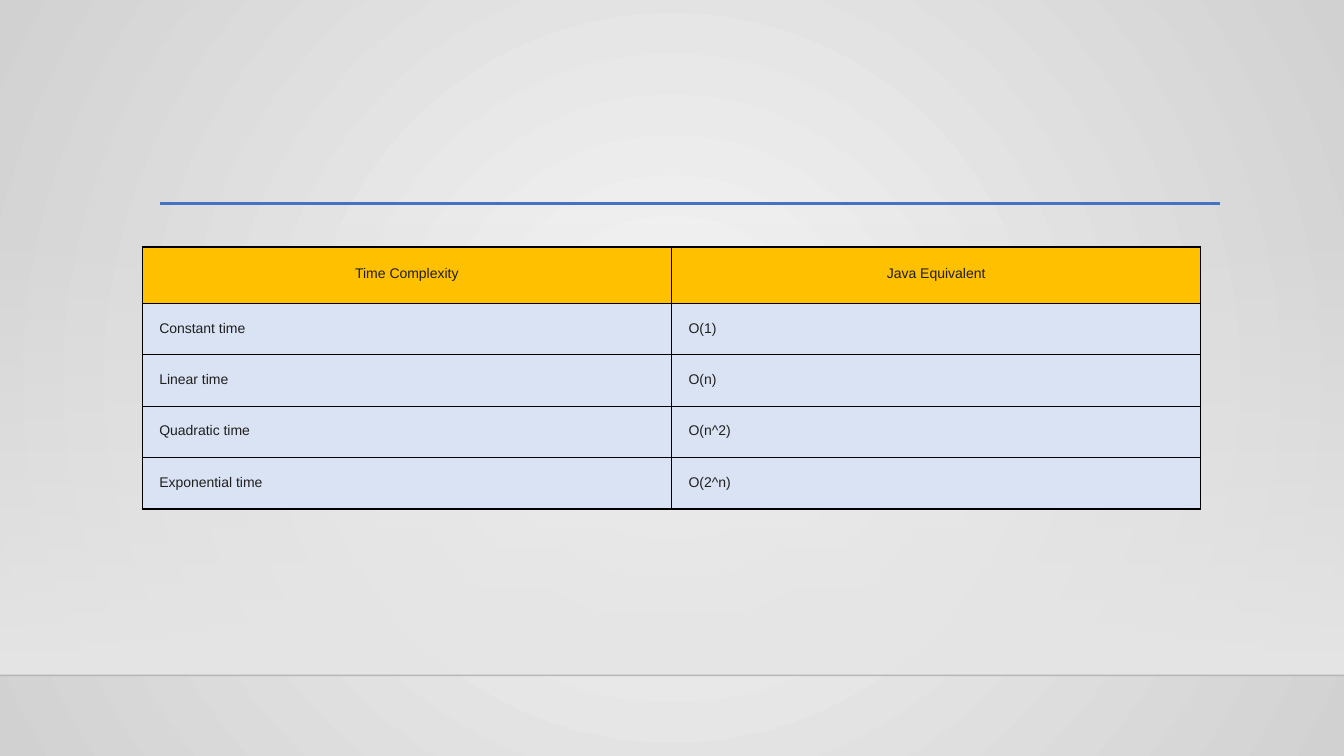
from lxml.etree import SubElement
from pptx import Presentation
from pptx.dml.color import RGBColor
from pptx.enum.shapes import MSO_CONNECTOR, MSO_SHAPE
from pptx.enum.text import PP_ALIGN
from pptx.oxml.ns import qn
from pptx.util import Inches, Pt

STRAIGHT = MSO_CONNECTOR.STRAIGHT
RECTANGLE = MSO_SHAPE.RECTANGLE
CENTER, LEFT = PP_ALIGN.CENTER, PP_ALIGN.LEFT

COLORS = {
    "glow": "F6F6F6",
    "edge": "D2D1D1",
    "wall": "E7E6E6",
    "horizon": "000001",
    "accent": "4472C4",
    "border": "000000",
    "header": "FFC000",
    "body": "DAE3F3",
    "text": "1F1F1F",
}
WIDTH, HEIGHT = 13.33, 7.5
ROWS = [
    ("Time Complexity", "Java Equivalent"),
    ("Constant time", "O(1)"),
    ("Linear time", "O(n)"),
    ("Quadratic time", "O(n^2)"),
    ("Exponential time", "O(2^n)"),
]
HEADER_HEIGHT, BODY_HEIGHT = 0.56, 0.51
PADDING, HEADER_PADDING = 0.17, 0.19


def color(name):
    """Return the named palette colour."""
    return RGBColor.from_string(COLORS[name])


def set_gradient(fill, start, end):
    """Give a fill a two-stop gradient and return its stops."""
    fill.gradient()
    stops = fill.gradient_stops
    for stop, name, position in zip(stops, (start, end), (0, 1)):
        stop.color.rgb = color(name)
        stop.position = position
    return stops


def set_alpha(element, percent):
    """Set the opacity of the first RGB colour inside an element."""
    rgb = next(element.iter(qn("a:srgbClr")))
    SubElement(rgb, qn("a:alpha"), val=str(percent * 1000))


def draw_background(slide):
    """Fill the slide with a circular gradient around its centre."""
    set_gradient(slide.background.fill, "glow", "edge")
    gradient = next(slide.element.iter(qn("a:gradFill")))
    gradient.remove(gradient.find(qn("a:lin")))
    circle = SubElement(gradient, qn("a:path"), path="circle")
    SubElement(circle, qn("a:fillToRect"), l="50000", t="50000", r="50000", b="50000")


def draw_rule(slide, left, top, width, name, points):
    """Draw a horizontal line without shadow."""
    rule = slide.shapes.add_connector(
        STRAIGHT, Inches(left), Inches(top), Inches(left + width), Inches(top)
    )
    rule.line.color.rgb = color(name)
    rule.line.width = Pt(points)
    SubElement(rule.element.spPr, qn("a:effectLst"))
    return rule


def draw_wall(slide, left, top, width, height):
    """Draw the wall that fades in downwards and the horizon below it."""
    wall = slide.shapes.add_shape(
        RECTANGLE, Inches(left), Inches(top), Inches(width), Inches(height)
    )
    wall.shadow.inherit = False
    wall.line.fill.background()
    set_gradient(wall.fill, "wall", "wall")
    wall.fill.gradient_angle = 270
    set_alpha(wall.element.spPr, 0)
    horizon = draw_rule(slide, left, top + height, width, "horizon", 1)
    set_alpha(horizon.element.spPr, 20)


def draw_borders(cell):
    """Put a thin solid border on every side of a cell."""
    properties = cell._tc.get_or_add_tcPr()
    for side in ("a:lnL", "a:lnR", "a:lnT", "a:lnB"):
        border = SubElement(properties, qn(side), w=str(Pt(1)))
        solid = SubElement(border, qn("a:solidFill"))
        SubElement(solid, qn("a:srgbClr"), val=COLORS["border"])


def fill_cell(cell, text, is_header):
    """Write and style one table cell."""
    draw_borders(cell)
    cell.fill.solid()
    cell.fill.fore_color.rgb = color("header" if is_header else "body")
    cell.margin_left = cell.margin_right = Inches(PADDING)
    cell.margin_top = cell.margin_bottom = Inches(HEADER_PADDING if is_header else PADDING)
    cell.text = text
    paragraph = cell.text_frame.paragraphs[0]
    paragraph.alignment = CENTER if is_header else LEFT
    paragraph.font.name = "Arial"
    paragraph.font.size = Pt(10)
    paragraph.font.color.rgb = color("text")


def draw_complexity_table(slide, left, top, width):
    """Draw the complexity table with equal columns."""
    heights = [HEADER_HEIGHT] + [BODY_HEIGHT] * (len(ROWS) - 1)
    columns = len(ROWS[0])
    table = slide.shapes.add_table(
        len(ROWS), columns, Inches(left), Inches(top), Inches(width), Inches(sum(heights))
    ).table
    table.first_row = table.horz_banding = False
    for column in table.columns:
        column.width = Inches(width / columns)
    for index, (texts, height) in enumerate(zip(ROWS, heights)):
        table.rows[index].height = Inches(height)
        for cell, text in zip(table.rows[index].cells, texts):
            fill_cell(cell, text, index == 0)


def main():
    """Build and save the slide."""
    presentation = Presentation()
    presentation.slide_width, presentation.slide_height = Inches(WIDTH), Inches(HEIGHT)
    slide = presentation.slides.add_slide(presentation.slide_layouts[6])
    draw_background(slide)
    draw_wall(slide, 0, 2.21, WIDTH, 4.49)
    draw_rule(slide, 1.59, 2.02, 10.51, "accent", 2.5)
    draw_complexity_table(slide, 1.41, 2.45, 10.5)
    presentation.save("out.pptx")


if __name__ == "__main__":
    main()
